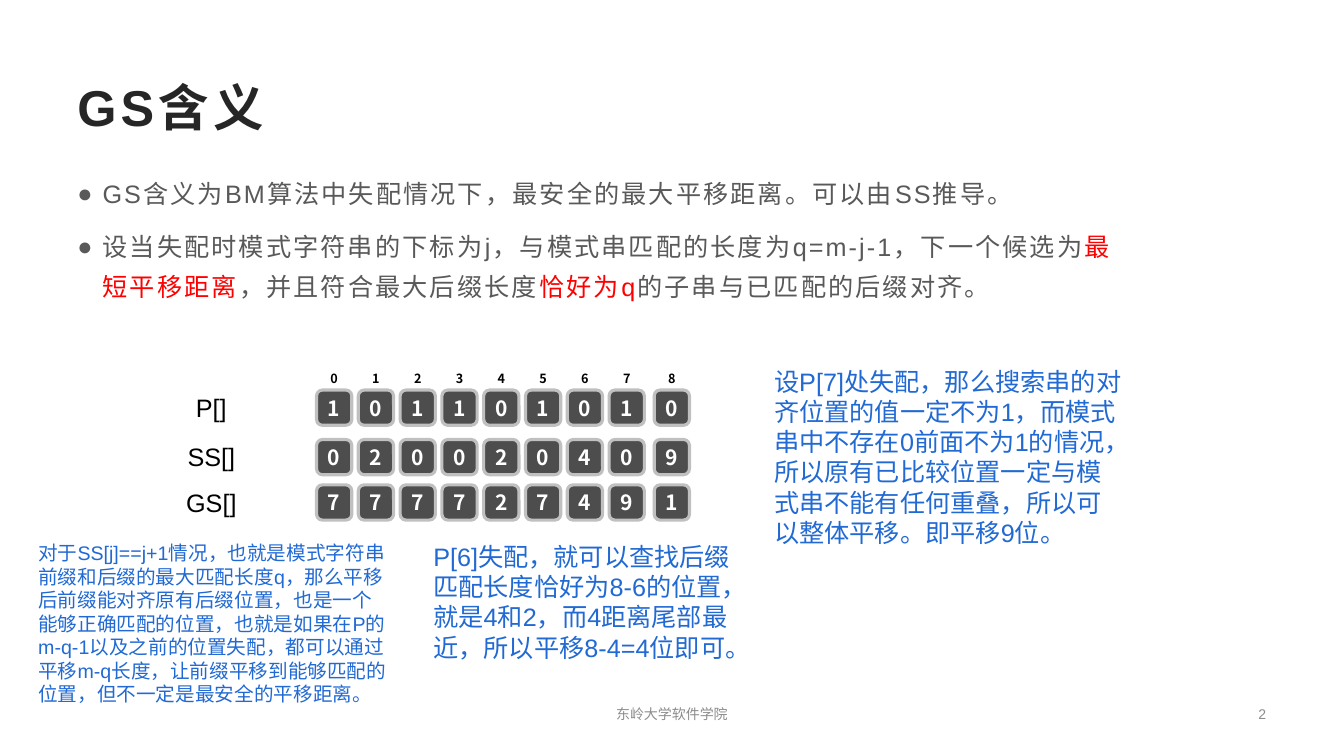
from dataclasses import dataclass

from lxml.etree import SubElement
from pptx import Presentation
from pptx.dml.color import RGBColor
from pptx.enum.shapes import MSO_SHAPE as Preset
from pptx.enum.text import MSO_ANCHOR as Anchor
from pptx.enum.text import MSO_AUTO_SIZE as AutoSize
from pptx.enum.text import PP_ALIGN as Align
from pptx.oxml.ns import qn
from pptx.util import Pt


@dataclass(frozen=True)
class Theme:
    """Colours, fonts and type sizes of the slide."""
    title: str = "262626"
    body: str = "595959"
    accent: str = "FF0000"
    note: str = "2169D3"
    footer: str = "8C8C8C"
    black: str = "000000"
    white: str = "FFFFFF"
    cell: str = "4D4D4D"
    cell_border: str = "C0C0C0"
    font: str = "Arial"
    cjk_font: str = "Noto Sans CJK SC"
    title_size: int = 36
    text_size: int = 18
    small_size: int = 14
    cell_size: int = 15
    index_size: int = 9
    footer_size: int = 10


THEME = Theme()
CELL_SIDE = 25.2
COLUMNS = [226.1 + 29.85 * column for column in range(8)] + [467.3]
INDEX_TOP = 257.8
ARRAYS = [
    ("P[]", "101101010", 278.6),
    ("SS[]", "020020409", 313.9),
    ("GS[]", "777727491", 346.3),
]
BULLETS = [
    [("GS含义为BM算法中失配情况下，最安全的最大平移距离。可以由SS推导。", THEME.body)],
    [
        ("设当失配时模式字符串的下标为j，与模式串匹配的长度为q=m-j-1，下一个候选为", THEME.body),
        ("最短平移距离", THEME.accent),
        ("，并且符合最大后缀长度", THEME.body),
        ("恰好为q", THEME.accent),
        ("的子串与已匹配的后缀对齐。", THEME.body),
    ],
]
NOTES = [
    ("设P[7]处失配，那么搜索串的对齐位置的值一定不为1，而模式串中不存在0前面不为1的情况，"
     "所以原有已比较位置一定与模式串不能有任何重叠，所以可以整体平移。即平移9位。",
     (545.8, 257.8, 262.8, 138.2), THEME.text_size),
    ("P[6]失配，就可以查找后缀匹配长度恰好为8-6的位置，就是4和2，而4距离尾部最近，"
     "所以平移8-4=4位即可。",
     (302.4, 383, 231.1, 94.3), THEME.text_size),
    ("对于SS[j]==j+1情况，也就是模式字符串前缀和后缀的最大匹配长度q，那么平移后前缀能对齐"
     "原有后缀位置，也是一个能够正确匹配的位置，也就是如果在P的m-q-1以及之前的位置失配，"
     "都可以通过平移m-q长度，让前缀平移到能够匹配的位置，但不一定是最安全的平移距离。",
     (20.2, 383, 265.7, 126), THEME.small_size),
]


def add_text(paragraph, text, *, size, color, font=THEME.font, bold=False, spacing=0):
    """Append one formatted run to a paragraph."""
    run = paragraph.add_run()
    run.text = text
    run.font.size = Pt(size)
    run.font.name = font
    run.font.bold = bold
    run.font.color.rgb = RGBColor.from_string(color)
    properties = run._r.get_or_add_rPr()
    properties.set("spc", str(round(spacing * 100)))
    SubElement(properties, qn("a:ea")).set("typeface", THEME.cjk_font)


def add_frame(slide, box, anchor=Anchor.TOP, fit=AutoSize.NONE):
    """Add an empty wrapping text box and return its text frame."""
    frame = slide.shapes.add_textbox(*map(Pt, box)).text_frame
    frame.word_wrap = True
    frame.vertical_anchor = anchor
    frame.auto_size = fit
    return frame


def add_label(slide, text, box, *, align=Align.LEFT, anchor=Anchor.TOP,
              fit=AutoSize.NONE, **text_format):
    """Add a text box that holds a single paragraph."""
    paragraph = add_frame(slide, box, anchor, fit).paragraphs[0]
    paragraph.alignment = align
    add_text(paragraph, text, **text_format)


def add_bullets(slide, box):
    """Add the bulleted explanation with its highlighted words."""
    frame = add_frame(slide, box)
    for index, parts in enumerate(BULLETS):
        paragraph = frame.add_paragraph() if index else frame.paragraphs[0]
        paragraph.line_spacing = 1.3
        paragraph.space_after = Pt(10)
        properties = paragraph._p.get_or_add_pPr()
        properties.set("marL", str(Pt(18)))
        properties.set("indent", str(Pt(-18)))
        SubElement(properties, qn("a:buFont")).set("typeface", THEME.font)
        SubElement(properties, qn("a:buChar")).set("char", "●")
        for text, color in parts:
            add_text(paragraph, text, size=THEME.text_size, color=color, spacing=1.5)


def add_cell(slide, text, left, top, *, fill, size, color, border=None):
    """Add one rounded square with a centred digit."""
    shape = slide.shapes.add_shape(
        Preset.ROUNDED_RECTANGLE, *map(Pt, (left, top, CELL_SIDE, CELL_SIDE)))
    shape.shadow.inherit = False
    shape.fill.solid()
    shape.fill.fore_color.rgb = RGBColor.from_string(fill)
    if border:
        shape.line.color.rgb = RGBColor.from_string(border)
        shape.line.width = Pt(2.25)
    else:
        shape.line.fill.background()
    frame = shape.text_frame
    frame.margin_left = frame.margin_right = frame.margin_top = frame.margin_bottom = 0
    frame.word_wrap = False
    frame.vertical_anchor = Anchor.MIDDLE
    frame.paragraphs[0].alignment = Align.CENTER
    add_text(frame.paragraphs[0], text, size=size, color=color,
             font=THEME.cjk_font, bold=True)


def add_arrays(slide):
    """Add the index row and the three labelled arrays."""
    for index, left in enumerate(COLUMNS):
        add_cell(slide, str(index), left, INDEX_TOP, fill=THEME.white,
                 size=THEME.index_size, color=THEME.black)
    for name, digits, top in ARRAYS:
        add_label(slide, name, (99.5, top - 2, 103, 28.8), align=Align.CENTER,
                  fit=AutoSize.SHAPE_TO_FIT_TEXT, size=THEME.text_size, color=THEME.black)
        for digit, left in zip(digits, COLUMNS):
            add_cell(slide, digit, left, top, fill=THEME.cell, size=THEME.cell_size,
                     color=THEME.white, border=THEME.cell_border)


def main():
    """Build the slide and save it."""
    presentation = Presentation()
    presentation.slide_width, presentation.slide_height = Pt(960), Pt(540)
    slide = presentation.slides.add_slide(presentation.slide_layouts[6])
    add_label(slide, "GS含义", (48.2, 48.2, 864, 55.4), anchor=Anchor.MIDDLE,
              size=THEME.title_size, color=THEME.title, bold=True, spacing=3)
    add_bullets(slide, (48.2, 117.4, 761, 374.4))
    add_arrays(slide)
    for text, box, size in NOTES:
        add_label(slide, text, box, fit=AutoSize.SHAPE_TO_FIT_TEXT,
                  size=size, color=THEME.note)
    footer_format = {"anchor": Anchor.MIDDLE, "size": THEME.footer_size,
                     "color": THEME.footer}
    add_label(slide, "2", (699.1, 497.5, 212.4, 25.2), align=Align.RIGHT, **footer_format)
    add_label(slide, "东岭大学软件学院", (324, 497.5, 311.8, 25.2),
              align=Align.CENTER, **footer_format)
    presentation.save("out.pptx")


if __name__ == "__main__":
    main()
